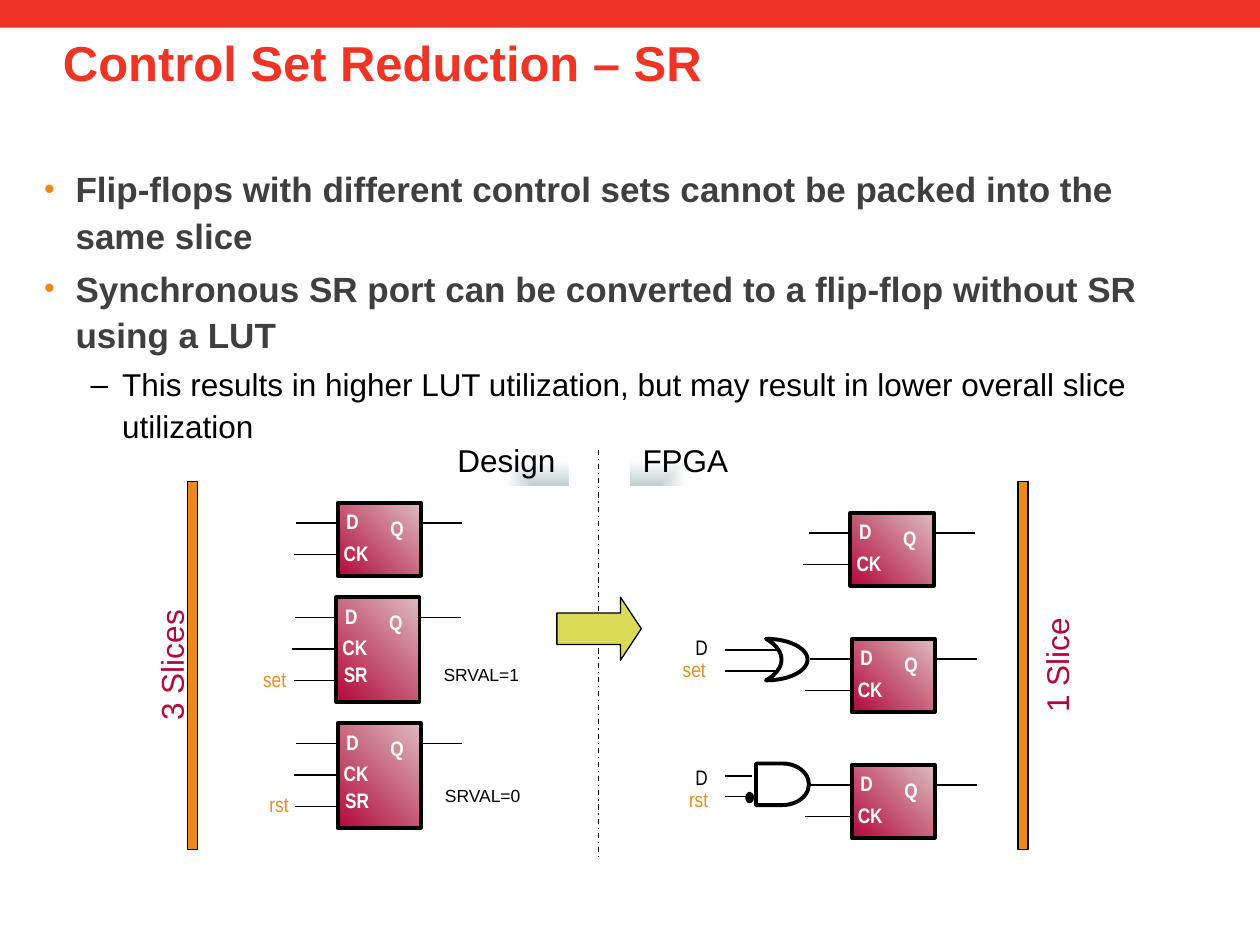
"""Builds a slide on reducing flip-flop control sets by moving SR into LUTs."""
import dataclasses

import pptx
import pptx.dml.color
import pptx.enum.dml
import pptx.enum.shapes
import pptx.enum.text
import pptx.oxml
import pptx.oxml.ns
import pptx.util
from lxml import etree

Pt = pptx.util.Pt
qn = pptx.oxml.ns.qn
RGB = pptx.dml.color.RGBColor.from_string
SHAPE = pptx.enum.shapes.MSO_SHAPE
CENTER = pptx.enum.text.PP_ALIGN.CENTER


@dataclasses.dataclass(frozen=True)
class Theme:
    red: str = "EE3424"
    orange: str = "EC891D"
    crimson: str = "B20838"
    rose: str = "DDBCBF"
    lime: str = "D9DA56"
    mist: str = "C2D1D3"
    grey: str = "3F3F3F"
    black: str = "000000"
    white: str = "FFFFFF"
    title: dict = dataclasses.field(default_factory=lambda: dict(name="Arial", size=Pt(28), bold=True))
    point: dict = dataclasses.field(default_factory=lambda: dict(name="Arial", size=Pt(20), bold=True))
    label: dict = dataclasses.field(default_factory=lambda: dict(name="Arial", size=Pt(18), bold=False))
    note: dict = dataclasses.field(default_factory=lambda: dict(name="Arial", size=Pt(10), bold=False))
    pin: dict = dataclasses.field(default_factory=lambda: dict(name="Arial Narrow", size=Pt(12), bold=True))
    net: dict = dataclasses.field(default_factory=lambda: dict(name="Arial Narrow", size=Pt(12), bold=False))


theme = Theme()
prs = pptx.Presentation()
prs.slide_width, prs.slide_height = pptx.util.Inches(10), pptx.util.Inches(7.5)
s = prs.slides.add_slide(prs.slide_layouts[6])
COL, ROW = prs.slide_width / 100, prs.slide_height / 75


def box(x, y, w, h, shape=None, fill=None, line=None, text="", font=None, color=theme.black,
        align=None, wrap=False, rotation=0):
    """Add a preset shape, or a text box when no shape is given, at grid columns and rows."""
    at = [int(v) for v in (x * COL, y * ROW, w * COL, h * ROW)]
    sp = s.shapes.add_textbox(*at) if shape is None else s.shapes.add_shape(shape, *at)
    sp.rotation = rotation
    if shape is not None:
        sp.shadow.inherit = False
        if isinstance(fill, tuple):
            sp.fill.gradient()
            sp.fill.gradient_angle = 45
            for stop, shade in zip(sp.fill.gradient_stops, fill):
                stop.color.rgb = RGB(shade)
        elif fill:
            sp.fill.solid()
            sp.fill.fore_color.rgb = RGB(fill)
        else:
            sp.fill.background()
        if line:
            sp.line.color.rgb, sp.line.width = RGB(theme.black), Pt(line)
        else:
            sp.line.fill.background()
    if text:
        tf = sp.text_frame
        tf.word_wrap = wrap
        p = tf.paragraphs[0]
        p.alignment = align
        r = p.add_run()
        r.text = text
        r.font.color.rgb = RGB(color)
        for key, value in font.items():
            setattr(r.font, key, value)
    return sp


def wire(x1, y1, x2, y2, width=1):
    """Add a plain black line between two grid points."""
    c = s.shapes.add_connector(pptx.enum.shapes.MSO_CONNECTOR.STRAIGHT,
                               int(x1 * COL), int(y1 * ROW), int(x2 * COL), int(y2 * ROW))
    c.line.color.rgb, c.line.width = RGB(theme.black), Pt(width)
    etree.SubElement(c._element.spPr, qn("a:effectLst"))
    return c


box(0, 0, 100, 2.2, SHAPE.RECTANGLE, theme.red)
sp = box(5, 2.3, 90, 12.5, text="Control Set Reduction – SR", font=theme.title, color=theme.red, wrap=True)
sp.text_frame.margin_left = 0
sp.text_frame.paragraphs[0].line_spacing = 0.98

bullets = [
    ("Flip-flops with different control sets cannot be packed into the same slice",
     theme.point, theme.grey, 0, 2.5, "•", theme.orange, 88),
    ("Synchronous SR port can be converted to a flip-flop without SR using a LUT",
     theme.point, theme.grey, 0, 2.5, "•", theme.orange, 88),
    ("This results in higher LUT utilization, but may result in lower overall slice utilization",
     theme.label, theme.black, 1, 6.2, "–", theme.black, 100),
]
tf = box(3.5, 12.5, 90, 46.7).text_frame
tf.word_wrap, tf.margin_left = True, 0
for i, (text, font, color, level, indent, mark, mark_color, mark_size) in enumerate(bullets):
    p = tf.add_paragraph() if i else tf.paragraphs[0]
    p.level, p.line_spacing, p.space_before = level, 1.1, Pt(font["size"].pt * 0.2)
    r = p.add_run()
    r.text = text
    r.font.color.rgb = RGB(color)
    for key, value in font.items():
        setattr(r.font, key, value)
    pPr = p._p.get_or_add_pPr()
    pPr.set("marL", str(int(indent * COL)))
    pPr.set("indent", str(int(-2.5 * COL)))
    etree.SubElement(etree.SubElement(pPr, qn("a:buClr")), qn("a:srgbClr"), val=mark_color)
    etree.SubElement(pPr, qn("a:buSzPct"), val=str(mark_size * 1000))
    etree.SubElement(pPr, qn("a:buFont"), typeface="Arial")
    etree.SubElement(pPr, qn("a:buChar"), char=mark)

flip_flops = [(26.8, 39.9, False, 3.5), (26.7, 47.4, True, 3.5), (26.8, 57.4, True, 3.5),
              (67.5, 40.7, False, 3.8), (67.6, 50.7, False, 3.7), (67.6, 60.7, False, 3.7)]
for x, y, has_sr, clock_reach in flip_flops:
    box(x, y, 6.6, 8.3 if has_sr else 5.8, SHAPE.RECTANGLE, (theme.crimson, theme.rose), 2.25)
    pins = [("D", -0.3, 0, 3), ("Q", 3.2, 0.5, 3.1), ("CK", -0.5, 2.5, 4)]
    wires = [(0, -3.3, 1.6), (6.6, 9.9, 1.6), (0, -clock_reach, 4.1)]
    if has_sr:
        pins.append(("SR", -0.4, 4.65, 3.9))
        wires.append((0, -3.4, 6.6))
    for start, end, dy in wires:
        wire(x + start, y + dy, x + end, y + dy)
    for name, dx, dy, w in pins:
        box(x + dx, y + dy, w, 3, text=name, font=theme.pin, color=theme.white)

box(60, 60.6, 4.2, 3.3, SHAPE.FLOWCHART_DELAY, line=2.25)
sp = box(60.8, 50.7, 3.3, 3.3, SHAPE.MOON, line=2.25)
sp.adjustments[0] = 0.625
sp._element.spPr.find(qn("a:xfrm")).set("flipH", "1")
for end, y in [(61.9, 51.6), (61.7, 53.25), (59.7, 61.6), (59.9, 63.2)]:
    wire(57.5, y, end, y, 0.75)
box(59.2, 62.9, 0.6, 0.8, SHAPE.OVAL, theme.black, 0.75)

for name, x, y, w, color in [("D", 54.2, 49.9, 3, theme.black), ("set", 53.2, 51.6, 3.9, theme.orange),
                             ("D", 54.2, 60.2, 3, theme.black), ("rst", 53.7, 61.9, 3.5, theme.orange),
                             ("set", 19.9, 52.4, 3.9, theme.orange), ("rst", 20.4, 62.3, 3.5, theme.orange)]:
    box(x, y, w, 3, text=name, font=theme.net, color=color)
for text, x, y in [("SRVAL=1", 34.1, 52.2), ("SRVAL=0", 34.2, 61.8)]:
    box(x, y, 8.2, 2.7, text=text, font=theme.note, align=CENTER, wrap=True)

wire(47.5, 35.7, 47.5, 68.2, 0.75).line.dash_style = pptx.enum.dml.MSO_LINE.DASH_DOT
for text, x, w, focus in [("Design", 35.3, 9.8, "l"), ("FPGA", 50, 8.8, "r")]:
    sp = box(x, 34.5, w, 4, SHAPE.RECTANGLE, (theme.mist, theme.white),
             text=text, font=theme.label, align=CENTER)
    grad = sp._element.spPr.find(qn("a:gradFill"))
    grad.remove(grad.find(qn("a:lin")))
    shade = etree.SubElement(grad, qn("a:path"), {"path": "rect"})
    etree.SubElement(shade, qn("a:fillToRect"), {focus: "100000", "t": "100000"})

sp = box(44.2, 47.4, 6.7, 5, SHAPE.RIGHT_ARROW, theme.lime, 0.75)
sp.adjustments[0], sp.adjustments[1] = 0.5, 0.33

for text, bar_x, x, w in [("3 Slices", 14.9, 8.2, 10.8), ("1 Slice", 80.8, 79.1, 9.5)]:
    box(bar_x, 38.2, 0.8, 29.2, SHAPE.RECTANGLE, theme.orange, 0.75)
    box(x, 50.8, w, 4, text=text, font=theme.label, color=theme.crimson, align=CENTER, rotation=270)

prs.save("out.pptx")
